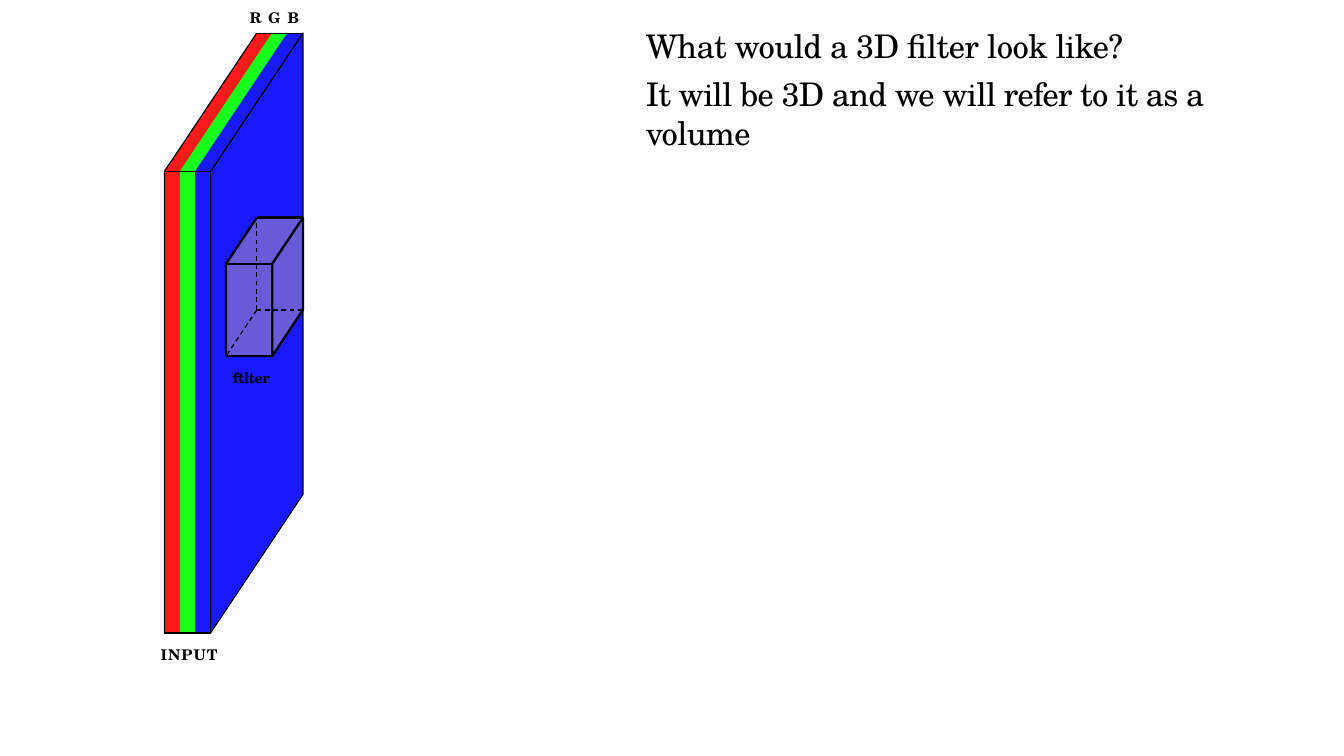
from dataclasses import dataclass

from lxml.etree import SubElement
from pptx import Presentation
from pptx.dml.color import RGBColor
from pptx.enum.dml import MSO_LINE
from pptx.enum.shapes import MSO_CONNECTOR
from pptx.enum.text import MSO_ANCHOR, MSO_AUTO_SIZE, PP_ALIGN
from pptx.oxml.ns import qn
from pptx.util import Pt

COLORS = {"ink": "000000", "red": "FF1919", "green": "19FF19",
          "blue": "1919FF", "filter": "DFBF9F"}
FONT = "TeX Gyre Schola"
UNIT = 5.2  # thickness of one colour channel
THIN, THICK = 0.4, 0.8


@dataclass
class Cuboid:
    """Oblique box: front face at (left, top), receding up and to the right."""
    left: float
    top: float
    width: float
    height: float
    depth_x: float
    depth_y: float

    def front(self, across, down):
        return self.left + across * self.width, self.top + down * self.height

    def back(self, across, down):
        x, y = self.front(across, down)
        return x + self.depth_x, y - self.depth_y

    def silhouette(self):
        return [self.back(1, 0), self.back(0, 0), self.front(0, 0),
                self.front(0, 1), self.front(1, 1), self.back(1, 1)]

    def right_face(self):
        return [self.front(1, 1), self.front(1, 0), self.back(1, 0), self.back(1, 1)]


def rgb(name):
    return RGBColor.from_string(COLORS[name])


def draw_path(slide, points, closed=True, fill=None, alpha=None, line_width=None):
    start, *rest = [(Pt(x), Pt(y)) for x, y in points]
    builder = slide.shapes.build_freeform(*start)
    builder.add_line_segments(rest, close=closed)
    outline = builder.convert_to_shape()
    outline.shadow.inherit = False
    if fill:
        outline.fill.solid()
        outline.fill.fore_color.rgb = rgb(fill)
        if alpha:
            color = outline.fill._xPr.find(".//" + qn("a:srgbClr"))
            SubElement(color, qn("a:alpha"), val=str(alpha * 1000))
    else:
        outline.fill.background()
    if line_width:
        outline.line.color.rgb = rgb("ink")
        outline.line.width = Pt(line_width)
    else:
        outline.line.fill.background()


def draw_edge(slide, start, end, line_width, dashed=False):
    edge = slide.shapes.add_connector(
        MSO_CONNECTOR.STRAIGHT, *[Pt(value) for value in (*start, *end)])
    edge.line.color.rgb = rgb("ink")
    edge.line.width = Pt(line_width)
    if dashed:
        edge.line.dash_style = MSO_LINE.DASH
    SubElement(edge._element.spPr, qn("a:effectLst"))


def draw_visible_edges(slide, cuboid, line_width):
    draw_path(slide, [cuboid.front(0, 1), cuboid.front(0, 0), cuboid.back(0, 0)],
              closed=False, line_width=line_width)
    for corner, down in ((cuboid.front, 1), (cuboid.front, 0), (cuboid.back, 0)):
        draw_edge(slide, corner(0, down), corner(1, down), line_width)
    draw_path(slide, cuboid.right_face(), line_width=line_width)


def write(holder, box, runs, size, inset, space_before, bold=False):
    """Place a text holder and fill it with (text, letter spacing) runs."""
    holder.left, holder.top, holder.width, holder.height = [Pt(v) for v in box]
    frame = holder.text_frame
    frame.word_wrap = True
    frame.auto_size = MSO_AUTO_SIZE.NONE
    frame.vertical_anchor = MSO_ANCHOR.TOP
    frame.margin_left, frame.margin_top = Pt(0.9), Pt(inset)
    frame.margin_right = frame.margin_bottom = 0
    paragraph = frame.paragraphs[0]
    paragraph.alignment = PP_ALIGN.LEFT
    paragraph.line_spacing = 1.0
    paragraph.space_before = Pt(space_before)
    properties = paragraph._p.get_or_add_pPr()
    properties.set("marL", "0")
    properties.set("indent", "0")
    SubElement(properties, qn("a:buNone"))
    paragraph.font.name = FONT
    paragraph.font.size = Pt(size)
    paragraph.font.bold = bold
    paragraph.font.color.rgb = rgb("ink")
    for text, spacing in runs:
        run = paragraph.add_run()
        run.text = text
        run._r.get_or_add_rPr().set("spc", str(round(spacing * 100)))


def add_label(slide, left, top, runs):
    label = slide.shapes.add_textbox(0, 0, 0, 0)
    write(label, (left, top, 24, 8), runs, size=5, inset=0.9,
          space_before=0.9, bold=True)


def draw_input(slide, volume):
    left, bottom = volume.front(0, 1)
    add_label(slide, left - 2.2, bottom + 3.6, [("INPUT", 0.3)])
    back_left, back_top = volume.back(0, 0)
    add_label(slide, back_left - 3.3, back_top - 9,
              [("R ", 0.3), ("G ", 0.5), ("B", 0.3)])
    channel_width = volume.width / 3
    for index, channel in enumerate(("red", "green", "blue")):
        layer = Cuboid(volume.left + index * channel_width, volume.top,
                       channel_width, volume.height, volume.depth_x, volume.depth_y)
        draw_path(slide, layer.silhouette(), fill=channel)
    draw_visible_edges(slide, volume, THIN)


def draw_filter(slide, volume):
    draw_path(slide, volume.silhouette(), fill="filter", alpha=40)
    draw_visible_edges(slide, volume, THICK)
    hidden_corner = volume.back(0, 1)
    for neighbour in (volume.front(0, 1), volume.back(0, 0), volume.back(1, 1)):
        draw_edge(slide, hidden_corner, neighbour, THIN, dashed=True)
    left, bottom = volume.front(0, 1)
    add_label(slide, left + 1.4, bottom + 3.4, [("ftlter", -0.2)])


def write_question(slide, left, top, width):
    style = {"size": 11, "inset": 4.3, "space_before": 4.3}
    question, answer = slide.placeholders
    write(question, (left, top, width, 18),
          [("What would a 3D filter look like?", -0.2)], **style)
    write(answer, (left, top + 16.5, width, 36),
          [("It will be 3D and we will refer to it as a volume", -0.25)], **style)


def main():
    presentation = Presentation()
    presentation.slide_width, presentation.slide_height = Pt(454.3), Pt(255.6)
    slide = presentation.slides.add_slide(presentation.slide_layouts[1])
    image = Cuboid(55.6, 58, 3 * UNIT, 30 * UNIT, 6 * UNIT, 9 * UNIT)
    kernel = Cuboid(image.left + 4 * UNIT, image.top + 6 * UNIT,
                    3 * UNIT, 6 * UNIT, 2 * UNIT, 3 * UNIT)
    draw_input(slide, image)
    draw_filter(slide, kernel)
    write_question(slide, 217.4, 4.3, 218.2)
    presentation.save("out.pptx")


if __name__ == "__main__":
    main()
